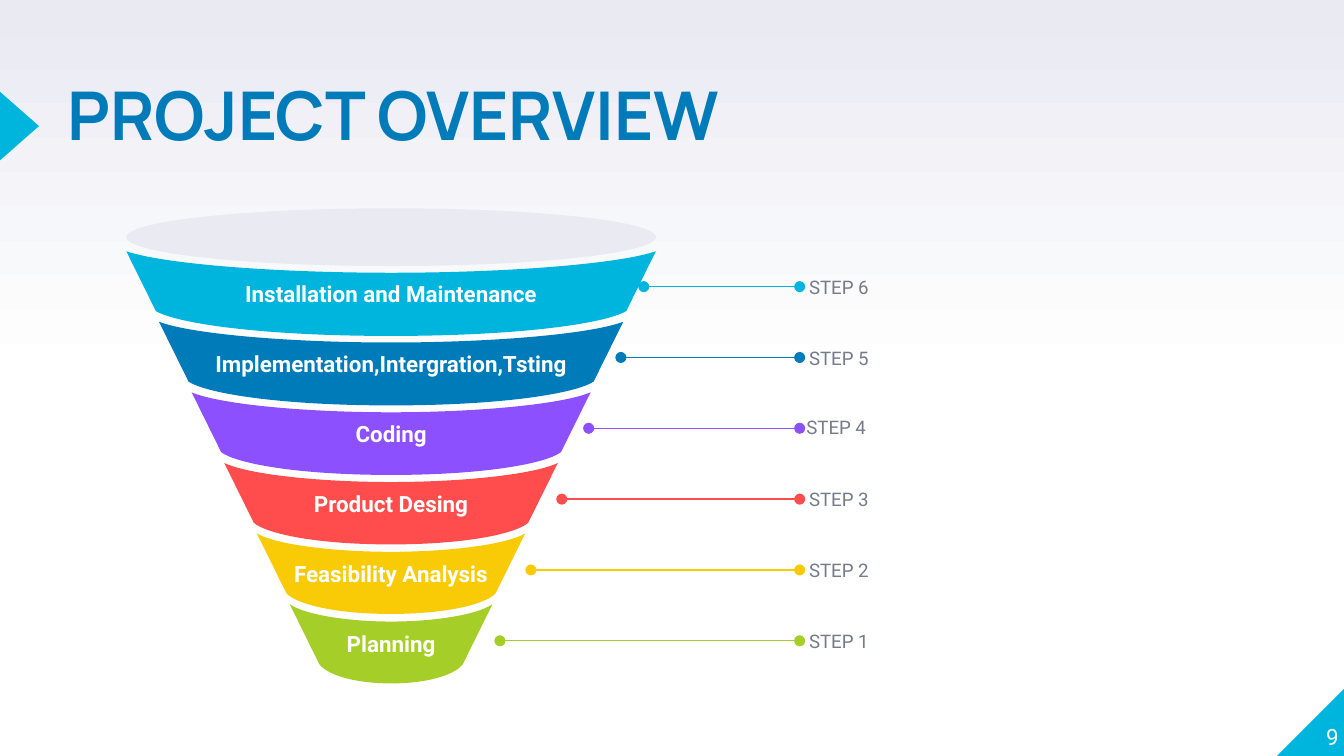
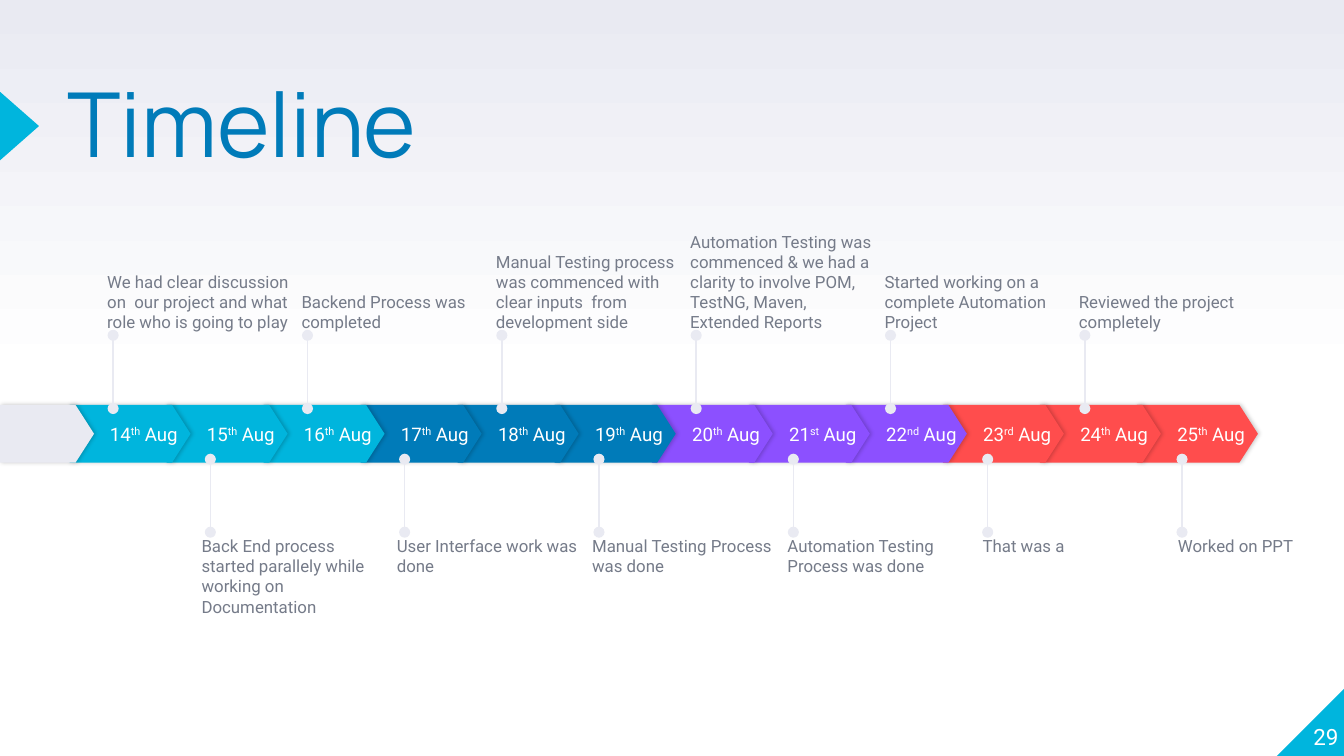
from dataclasses import dataclass

from lxml.etree import SubElement
from pptx import Presentation
from pptx.dml.color import RGBColor
from pptx.enum.shapes import MSO_CONNECTOR as Connector, MSO_SHAPE as Preset
from pptx.enum.text import MSO_ANCHOR as Anchor, PP_ALIGN as Align
from pptx.oxml.ns import qn
from pptx.util import Emu, Inches, Pt

COLUMNS, ROWS = 100, 56.25
CELL = Inches(0.1)


@dataclass(frozen=True)
class Theme:
    """Colours, fonts and type sizes of the deck."""
    cyan: str = "00B5DD"
    blue: str = "007BB9"
    violet: str = "8C50FF"
    red: str = "FF4D4D"
    yellow: str = "F9CB07"
    green: str = "A6CE28"
    mist: str = "E9EAF2"
    white: str = "FFFFFF"
    grey: str = "757B89"
    shade: str = "000000"
    heading: str = "Manrope"
    body: str = "Roboto"
    title_size: float = 36
    large_title_size: float = 48
    band_size: float = 12
    label_size: float = 10
    note_size: float = 9
    line_width: float = 0.75


@dataclass(frozen=True)
class Box:
    """A rectangle counted in grid columns and rows."""
    left: float
    top: float
    width: float
    height: float

    def inner(self, left, top, width, height):
        """Return a box placed relative to this one."""
        return Box(self.left + left, self.top + top, width, height)

    def lengths(self):
        """Return left, top, width and height as slide lengths."""
        return [grid(value) for value in (self.left, self.top, self.width, self.height)]


THEME = Theme()
PAGE = Box(0, 0, COLUMNS, ROWS)
FUNNEL = Box(9.4, 15.5, 81.3, 35.4)
TIMELINE = Box(0, 18.9, COLUMNS, 27.6)

STEPS = [
    ("Installation and Maintenance", THEME.cyan, 47.9),
    ("Implementation,Intergration,Tsting", THEME.blue, 46.2),
    ("Coding", THEME.violet, 43.8),
    ("Product Desing", THEME.red, 41.8),
    ("Feasibility Analysis", THEME.yellow, 39.5),
    ("Planning", THEME.green, 37.2),
]
LABEL_SHIFTS = {4: (-0.2, -0.12)}

QUARTERS = [THEME.cyan, THEME.blue, THEME.violet, THEME.red]
FIRST_DAY = 14
SUFFIXES = {21: "st", 22: "nd", 23: "rd"}
NOTES = [
    "We had clear discussion on  our project and what role who is going to play",
    "Back End process started parallely while working on Documentation",
    "Backend Process was completed",
    "User Interface work was done",
    "Manual Testing process was commenced with clear inputs  from development side",
    "Manual Testing Process was done",
    "Automation Testing was commenced & we had a clarity to involve POM, "
    "TestNG, Maven, Extended Reports",
    "Automation Testing Process was done",
    "Started working on a complete Automation Project",
    "That was a",
    "Reviewed the project completely",
    "Worked on PPT",
]


def grid(value):
    """Turn grid units into a slide length."""
    return Emu(round(value * CELL))


def paint(shape, colour):
    """Give a shape a flat fill with no line and no shadow."""
    shape.shadow.inherit = False
    shape.fill.solid()
    shape.fill.fore_color.rgb = RGBColor.from_string(colour)
    shape.line.fill.background()
    return shape


def add_preset(slide, preset, box, colour, rotation=0):
    """Add a flat preset shape."""
    shape = paint(slide.shapes.add_shape(preset, *box.lengths()), colour)
    shape.rotation = rotation
    return shape


def write(shape, text, size, colour, font=THEME.body, bold=False,
          align=Align.LEFT, anchor=Anchor.MIDDLE, insets=(0, 0, 0, 0)):
    """Set one paragraph of text in a shape and return the paragraph."""
    frame = shape.text_frame
    frame.word_wrap = True
    frame.vertical_anchor = anchor
    frame.margin_left, frame.margin_top, frame.margin_right, frame.margin_bottom = (
        grid(inset) for inset in insets)
    paragraph = frame.paragraphs[0]
    paragraph.text = text
    paragraph.alignment = align
    paragraph.font.name = font
    paragraph.font.size = Pt(size)
    paragraph.font.bold = bold
    paragraph.font.color.rgb = RGBColor.from_string(colour)
    return paragraph


def add_text(slide, box, text, size, colour, **style):
    """Add a text box and return its paragraph."""
    return write(slide.shapes.add_textbox(*box.lengths()), text, size, colour, **style)


def add_pin(slide, start, end, colour):
    """Add a thin line with a dot at both ends."""
    points = [grid(value) for value in (*start, *end)]
    connector = slide.shapes.add_connector(Connector.STRAIGHT, *points)
    connector.line.color.rgb = RGBColor.from_string(colour)
    connector.line.width = Pt(THEME.line_width)
    properties = connector.element.spPr
    outline = properties.find(qn("a:ln"))
    for tag in ("a:headEnd", "a:tailEnd"):
        SubElement(outline, qn(tag), type="oval")
    SubElement(properties, qn("a:effectLst"))


def add_soft_shadow(shape):
    """Add a faint shadow to the right of a shape."""
    effects = shape.element.spPr.find(qn("a:effectLst"))
    shadow = SubElement(effects, qn("a:outerShdw"), blurRad=str(Pt(2.2)),
                        dist=str(Pt(0.8)), dir="0", algn="l", rotWithShape="0")
    colour = SubElement(shadow, qn("a:srgbClr"), val=THEME.shade)
    SubElement(colour, qn("a:alpha"), val="20000")


def add_frame(presentation, box, title, title_size, bold, number):
    """Add a slide with its background, title, marker and page corner."""
    slide = presentation.slides.add_slide(presentation.slide_layouts[6])
    fill = slide.background.fill
    fill.gradient()
    fill.gradient_angle = 90
    for stop, position, colour in zip(fill.gradient_stops, (0.5, 1), (THEME.white, THEME.mist)):
        stop.position = position
        stop.color.rgb = RGBColor.from_string(colour)
    add_preset(slide, Preset.RIGHT_TRIANGLE, box.inner(95, 51.15, 5.1, 5.1), THEME.cyan, 270)
    add_preset(slide, Preset.ISOSCELES_TRIANGLE, box.inner(-1.1, 7.93, 5.1, 2.9), THEME.cyan, 90)
    heading = add_text(slide, box.inner(5, 6.6, 61.7, 11.8), title, title_size, THEME.blue,
                       font=THEME.heading, bold=bold, anchor=Anchor.TOP)
    heading.line_spacing = 0.8
    add_text(slide, box.inner(94.6, 50.7, 5, 5.1), str(number), THEME.band_size, THEME.white,
             align=Align.RIGHT, anchor=Anchor.BOTTOM)
    return slide


def hanging_arc(half_width, top, sag, near, far):
    """Return the seven curve points of a hanging arc, left to right."""
    left = [(-half_width, top),
            (-half_width * near[0], top + sag * near[1]),
            (-half_width * far, top + sag)]
    return left + [(0, top + sag)] + [(-x, y) for x, y in reversed(left)]


def bend(shape, starts):
    """Turn each three segments from the given starts into one cubic curve."""
    outline = next(shape.element.iter(qn("a:path")))
    segments = outline.findall(qn("a:lnTo"))
    for start in starts:
        curve = SubElement(outline, qn("a:cubicBezTo"))
        segments[start].addprevious(curve)
        for segment in segments[start:start + 3]:
            curve.append(segment[0])
            outline.remove(segment)


def add_band(slide, box, index, text, colour):
    """Add one funnel band, narrower for each index."""
    centre, top = box.left + 19.7, box.top + 3.2 + 5.25 * index
    half_width = 19.7 - 2.43 * index
    height = 6.3 - 0.08 * index
    shoulder = 4.45
    upper = hanging_arc(half_width, 0, 1.6 - 0.06 * index, (0.85, 0.62), 0.42)
    lower = hanging_arc(half_width - 2.2, shoulder, height - shoulder, (0.91, 0.5), 0.55)
    points = [(grid(centre + x), grid(top + y)) for x, y in upper + lower[::-1]]
    builder = slide.shapes.build_freeform(*points[0])
    builder.add_line_segments(points[1:], close=True)
    band = paint(builder.convert_to_shape(), colour)
    bend(band, (0, 3, 7, 10))
    write(band, text, THEME.band_size, THEME.white,
          bold=True, align=Align.CENTER, insets=(0.7, 0.4, 0.7, 0.4))


def add_funnel(slide, box):
    """Add the funnel with its rim, pins and step labels."""
    for index, (text, colour, pin_start) in enumerate(STEPS):
        add_band(slide, box, index, text, colour)
        step = len(STEPS) - index
        row = box.top + 5.83 + 5.27 * index
        add_pin(slide, (pin_start, row), (box.left + 50.1, row), colour)
        across, down = LABEL_SHIFTS.get(step, (0, 0))
        label = Box(box.left + 50.8 + across, row - 1.88 + down, 30.5, 3.8)
        add_text(slide, label, f"STEP {step}", THEME.label_size, THEME.grey)
    add_preset(slide, Preset.OVAL, box.inner(0, 0, 39.4, 4.3), THEME.mist)


def add_plate(slide, box, colour):
    """Add one arrow plate of the timeline bar."""
    plate = add_preset(slide, Preset.PENTAGON, box, colour)
    plate.adjustments[0] = 0.32
    add_soft_shadow(plate)
    return plate


def add_date(slide, box, day, colour):
    """Add a plate that shows a day with a raised suffix."""
    paragraph = write(add_plate(slide, box, colour), str(day), THEME.label_size, THEME.white,
                      insets=(3, 0, 0, 0))
    suffix = paragraph.add_run()
    suffix.text = SUFFIXES.get(day, "th")
    suffix._r.get_or_add_rPr().set("baseline", "30000")
    paragraph.add_run().text = " Aug"


def add_note(slide, box, index, text):
    """Add a pin and its note, above the bar for even and below for odd."""
    pair, below = divmod(index, 2)
    pin = box.left + 8.42 + 7.23 * index
    if below:
        rows, left, top, anchor = (20.7, 15.27), 15 + 14.53 * pair, 20.95, Anchor.TOP
    else:
        rows, left, top, anchor = (11.5, 6.05), 7.98 + 14.46 * pair, 0.03, Anchor.BOTTOM
    start, end = ((pin, box.top + row) for row in rows)
    add_pin(slide, start, end, THEME.mist)
    width = min(13.7, box.width - 1.1 - left)
    add_text(slide, box.inner(left, top, width, 5.8), text,
             THEME.note_size, THEME.grey, anchor=anchor)


def add_timeline(slide, box):
    """Add the bar of dates and the notes on both sides."""
    bar_top = 11.23
    for index in reversed(range(len(NOTES))):
        plate = box.inner(5.18 + 7.22 * index, bar_top, 9, 4.3)
        add_date(slide, plate, FIRST_DAY + index, QUARTERS[index // 3])
    add_plate(slide, box.inner(0, bar_top, 7, 4.3), THEME.mist)
    for index, text in enumerate(NOTES):
        add_note(slide, box, index, text)


def main():
    """Build and save the two slides."""
    presentation = Presentation()
    presentation.slide_width, presentation.slide_height = grid(COLUMNS), grid(ROWS)
    overview = add_frame(presentation, PAGE, "PROJECT OVERVIEW", THEME.title_size, True, 9)
    add_funnel(overview, FUNNEL)
    timeline = add_frame(presentation, PAGE, "Timeline", THEME.large_title_size, False, 29)
    add_timeline(timeline, TIMELINE)
    presentation.save("out.pptx")


if __name__ == "__main__":
    main()
